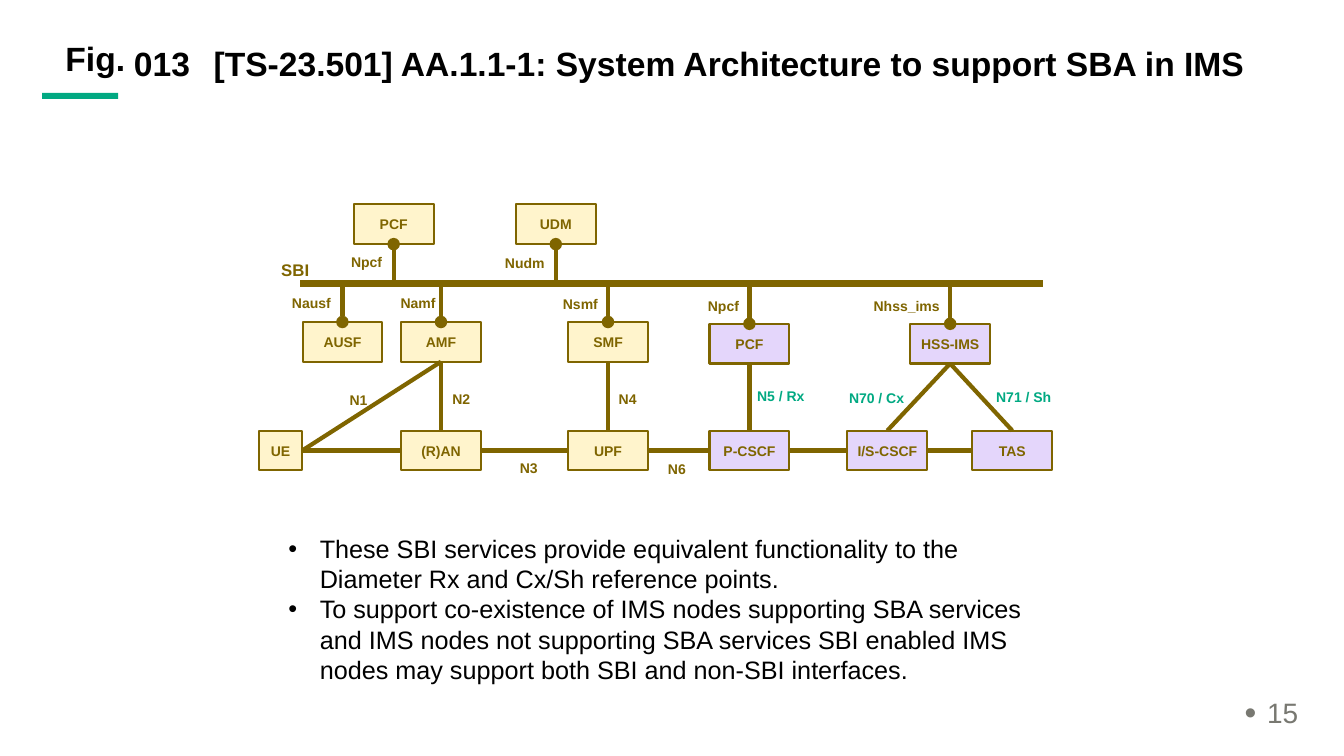
from lxml.etree import SubElement
from pptx import Presentation
from pptx.dml.color import RGBColor
from pptx.enum.shapes import MSO_CONNECTOR, MSO_SHAPE
from pptx.enum.text import MSO_ANCHOR as ANCHOR, MSO_AUTO_SIZE, PP_ALIGN as ALIGN
from pptx.oxml.ns import qn
from pptx.util import Pt

BLACK = RGBColor(0x00, 0x00, 0x00)
GREY = RGBColor(0x78, 0x78, 0x71)
GREEN = RGBColor(0x01, 0xA9, 0x82)
BROWN = RGBColor(0x7F, 0x65, 0x00)
CREAM = RGBColor(0xFF, 0xF4, 0xCC)
LILAC = RGBColor(0xE4, 0xD6, 0xFB)

NODE_WIDTH, NODE_HEIGHT = 57, 28.4
TOP_ROW, CORE_ROW, IMS_ROW, BOTTOM_ROW = 146, 230, 231.3, 307.6
BUS_Y = 202.5

deck = Presentation()
deck.slide_width, deck.slide_height = Pt(960), Pt(540)
slide = deck.slides.add_slide(deck.slide_layouts[1])
shapes = slide.shapes


def write(frame, text, size, color, align=ALIGN.CENTER, anchor=ANCHOR.MIDDLE, bold=True):
    frame.text = text
    frame.word_wrap = True
    frame.auto_size = MSO_AUTO_SIZE.NONE
    frame.vertical_anchor = anchor
    for paragraph in frame.paragraphs:
        paragraph.alignment = align
        paragraph.space_before = Pt(0)
        for run in paragraph.runs:
            run.font.name = "Arial"
            run.font.size = Pt(size)
            run.font.bold = bold
            run.font.color.rgb = color


def draw_line(start, end, width=3, dotted=False):
    line = shapes.add_connector(MSO_CONNECTOR.STRAIGHT, *map(Pt, start + end))
    line.line.color.rgb = BROWN
    line.line.width = Pt(width)
    if dotted:
        SubElement(line.line._get_or_add_ln(), qn("a:headEnd"), type="oval")
    SubElement(line._element.spPr, qn("a:effectLst"))


accent = shapes.add_shape(MSO_SHAPE.RECTANGLE, Pt(30.2), Pt(66.3), Pt(54.2), Pt(4.4))
accent.shadow.inherit = False
accent.fill.solid()
accent.fill.fore_color.rgb = GREEN
accent.line.fill.background()

title = shapes.title
title.left, title.top, title.width, title.height = Pt(145.4), Pt(30.2), Pt(785), Pt(34)
figure = shapes.add_textbox(Pt(32.4), Pt(30.2), Pt(57), Pt(34))
number = shapes.add_textbox(Pt(88.6), Pt(30.2), Pt(57), Pt(34))
write(title.text_frame, "[TS-23.501] AA.1.1-1: System Architecture to support SBA in IMS",
      24, BLACK, ALIGN.LEFT, ANCHOR.TOP)
write(figure.text_frame, "Fig.", 24, BLACK, ALIGN.RIGHT, ANCHOR.TOP)
write(number.text_frame, "013", 24, BLACK, ALIGN.LEFT, ANCHOR.TOP)
for heading in (title, figure, number):
    heading.text_frame.paragraphs[0].line_spacing = 0.9
figure.text_frame.margin_left = figure.text_frame.margin_right = 0
figure.text_frame.margin_top = figure.text_frame.margin_bottom = 0

nodes = {
    "PCF": ("PCF", 281.2, TOP_ROW, CREAM),
    "UDM": ("UDM", 397, TOP_ROW, CREAM),
    "AUSF": ("AUSF", 244.6, CORE_ROW, CREAM),
    "AMF": ("AMF", 315, CORE_ROW, CREAM),
    "SMF": ("SMF", 434.3, CORE_ROW, CREAM),
    "IMS PCF": ("PCF", 535.3, IMS_ROW, LILAC),
    "HSS": ("HSS-IMS", 678.7, IMS_ROW, LILAC),
    "UE": ("UE", 200.4, BOTTOM_ROW, CREAM),
    "RAN": ("(R)AN", 315, BOTTOM_ROW, CREAM),
    "UPF": ("UPF", 434.3, BOTTOM_ROW, CREAM),
    "P": ("P-CSCF", 535.3, BOTTOM_ROW, LILAC),
    "I/S": ("I/S-CSCF", 633.8, BOTTOM_ROW, LILAC),
    "TAS": ("TAS", 723.1, BOTTOM_ROW, LILAC),
}
top, bottom, left, right = {}, {}, {}, {}
for key, (text, center, y, fill) in nodes.items():
    width = 31 if key == "UE" else NODE_WIDTH
    node = shapes.add_shape(MSO_SHAPE.RECTANGLE, Pt(center - width / 2), Pt(y), Pt(width), Pt(NODE_HEIGHT))
    node.shadow.inherit = False
    node.fill.solid()
    node.fill.fore_color.rgb = fill
    node.line.color.rgb = BROWN
    node.line.width = Pt(1.5)
    write(node.text_frame, text, 10, BROWN)
    top[key], bottom[key] = (center, y), (center, y + NODE_HEIGHT)
    left[key] = (center - width / 2, y + NODE_HEIGHT / 2)
    right[key] = (center + width / 2, y + NODE_HEIGHT / 2)

draw_line((214.6, BUS_Y), (745.2, BUS_Y), 4.5)
for key in ("PCF", "UDM"):
    draw_line(bottom[key], (bottom[key][0], BUS_Y), dotted=True)
for key in ("AUSF", "AMF", "SMF", "IMS PCF", "HSS"):
    draw_line(top[key], (top[key][0], BUS_Y), dotted=True)
for upper, lower in (("AMF", "RAN"), ("SMF", "UPF"), ("IMS PCF", "P"), ("HSS", "I/S"), ("HSS", "TAS")):
    draw_line(bottom[upper], top[lower])
draw_line(right["UE"], bottom["AMF"])
chain = ("UE", "RAN", "UPF", "P", "I/S", "TAS")
for first, second in zip(chain, chain[1:]):
    draw_line(right[first], left[second])

labels = [
    ("Npcf", 235.4, 173, 44.6, ALIGN.RIGHT, BROWN, 10),
    ("Nudm", 351.4, 173.5, 44.6, ALIGN.RIGHT, BROWN, 10),
    ("Nausf", 198.7, 202.5, 44.6, ALIGN.RIGHT, BROWN, 10),
    ("Namf", 273.6, 202.5, 44.6, ALIGN.RIGHT, BROWN, 10),
    ("Nsmf", 389.5, 203, 44.6, ALIGN.RIGHT, BROWN, 10),
    ("Npcf", 469.4, 204.5, 65.5, ALIGN.RIGHT, BROWN, 10),
    ("Nhss_ims", 612.7, 204.5, 65.5, ALIGN.RIGHT, BROWN, 10),
    ("SBI", 188.6, 178.6, 44.6, ALIGN.CENTER, BROWN, 12),
    ("N1", 227.5, 271.4, 57, ALIGN.CENTER, BROWN, 10),
    ("N2", 301, 270.7, 57, ALIGN.CENTER, BROWN, 10),
    ("N3", 349.2, 319.7, 57, ALIGN.CENTER, BROWN, 10),
    ("N4", 419.8, 270.7, 57, ALIGN.CENTER, BROWN, 10),
    ("N6", 455, 321, 57, ALIGN.CENTER, BROWN, 10),
    ("N5 / Rx", 529.2, 268.6, 57, ALIGN.CENTER, GREEN, 10),
    ("N70 / Cx", 597.6, 270, 57, ALIGN.CENTER, GREEN, 10),
    ("N71 / Sh", 702.7, 269.3, 57, ALIGN.CENTER, GREEN, 10),
]
for text, x, y, width, align, color, size in labels:
    label = shapes.add_textbox(Pt(x), Pt(y), Pt(width), Pt(NODE_HEIGHT))
    write(label.text_frame, text, size, color, align)

notes = slide.placeholders[1]
notes.left, notes.top, notes.width, notes.height = Pt(191.5), Pt(366.5), Pt(570.2), Pt(138.2)
write(notes.text_frame,
      "These SBI services provide equivalent functionality to the Diameter Rx and Cx/Sh reference points.\n"
      "To support co-existence of IMS nodes supporting SBA services and IMS nodes not supporting SBA "
      "services SBI enabled IMS nodes may support both SBI and non-SBI interfaces.",
      18, BLACK, ALIGN.LEFT, ANCHOR.TOP, False)
notes.text_frame.margin_left = notes.text_frame.margin_right = Pt(14.4)
notes.text_frame.margin_top = notes.text_frame.margin_bottom = Pt(14.4)

page = shapes.add_textbox(Pt(882), Pt(496), Pt(54), Pt(28.8))
write(page.text_frame, "15", 20, GREY, ALIGN.LEFT, bold=False)
page.text_frame.paragraphs[0].line_spacing = 0.9

for frame, indent, bullet_size in ((notes.text_frame, 22.5, 100), (page.text_frame, 16, 120)):
    for paragraph in frame.paragraphs:
        properties = paragraph._p.get_or_add_pPr()
        properties.set("marL", str(Pt(indent)))
        properties.set("indent", str(-Pt(indent)))
        SubElement(properties, qn("a:buSzPct"), val=str(bullet_size * 1000))
        SubElement(properties, qn("a:buFont"), typeface="Arial")
        SubElement(properties, qn("a:buChar"), char="•")

deck.save("out.pptx")
